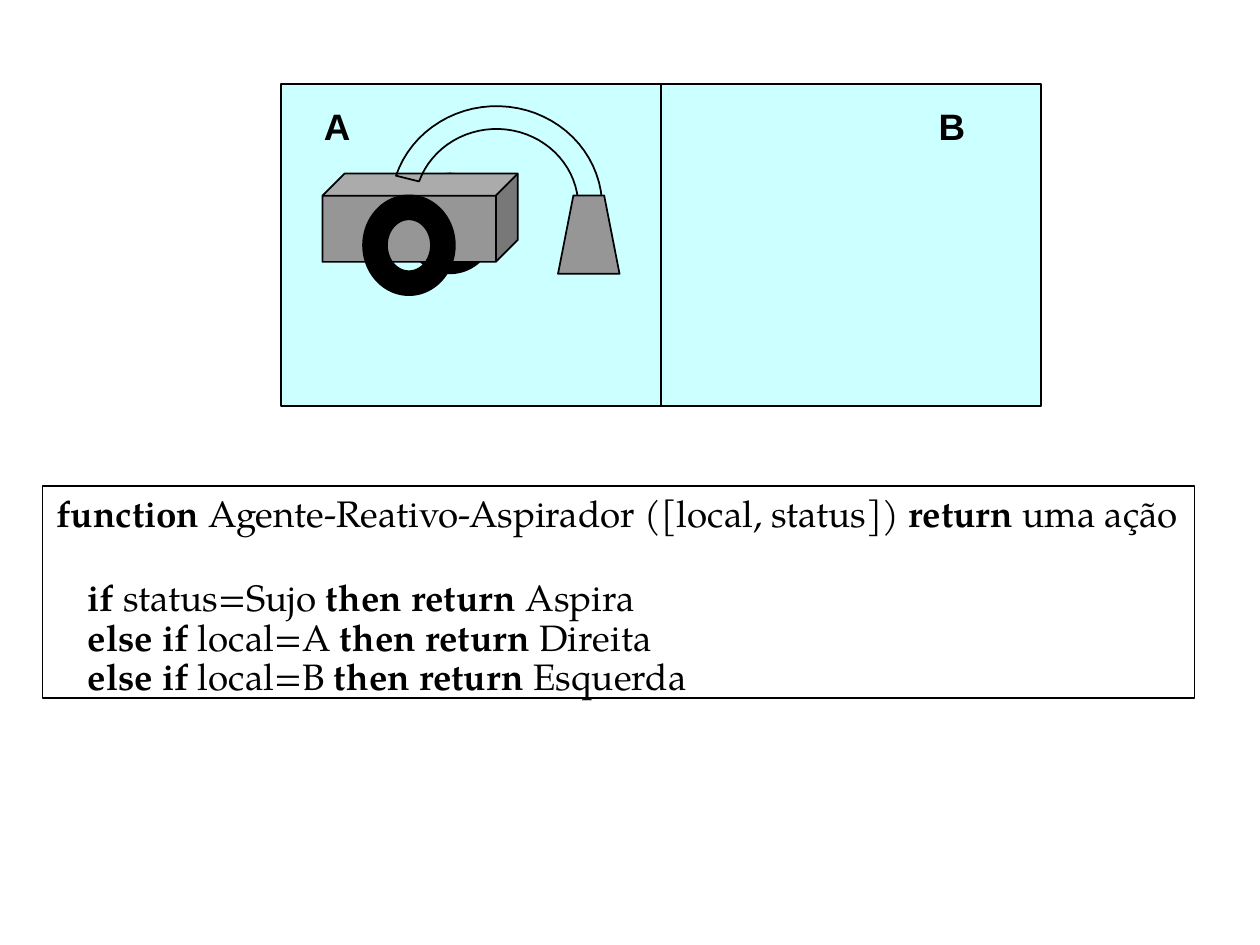
import math
from pptx import Presentation
from pptx.dml.color import RGBColor
from pptx.enum.shapes import MSO_CONNECTOR, MSO_SHAPE
from pptx.enum.text import MSO_ANCHOR, PP_ALIGN
from pptx.oxml.ns import qn
from pptx.util import Cm, Pt
from lxml import etree

RECT, CUBE = MSO_SHAPE.RECTANGLE, MSO_SHAPE.CUBE
DONUT, TRAPEZOID = MSO_SHAPE.DONUT, MSO_SHAPE.TRAPEZOID
STRAIGHT, TOP, LEFT = MSO_CONNECTOR.STRAIGHT, MSO_ANCHOR.TOP, PP_ALIGN.LEFT

COLORS = {"black": "000000", "room": "CCFFFF", "metal": "969696"}
SERIF, SANS, SIZE = "TeX Gyre Pagella", "Arial", 21


class Builder:
    def __init__(self, slide):
        self.s = slide

    def color(self, name):
        return RGBColor.from_string(COLORS[name])

    def style(self, sp, fill=None):
        sp.shadow.inherit = False
        if fill:
            sp.fill.solid()
            sp.fill.fore_color.rgb = self.color(fill)
        else:
            sp.fill.background()
        self.outline(sp)
        return sp

    def outline(self, sp):
        sp.line.color.rgb = self.color("black")
        sp.line.width = Pt(1)

    def shape(self, kind, x, y, w, h, fill=None, adj=None):
        sp = self.s.shapes.add_shape(kind, Cm(x), Cm(y), Cm(w), Cm(h))
        if adj is not None:
            sp.adjustments[0] = adj
        return self.style(sp, fill)

    def divider(self, sp):
        """Vertical line from the top middle to the bottom middle of sp."""
        x = sp.left + sp.width // 2
        c = self.s.shapes.add_connector(STRAIGHT, x, sp.top, x, sp.top + sp.height)
        c.begin_connect(sp, 0)
        c.end_connect(sp, 2)
        self.outline(c)
        etree.SubElement(c._element.spPr, qn("a:effectLst"))

    def outline_shape(self, points):
        pts = [(Cm(x), Cm(y)) for x, y in points]
        fb = self.s.shapes.build_freeform(*pts[0])
        fb.add_line_segments(pts[1:], close=True)
        return self.style(fb.convert_to_shape())

    def frame(self, sp, top, wrap):
        tf = sp.text_frame
        tf.margin_left = tf.margin_right = tf.margin_bottom = 0
        tf.margin_top = Cm(top)
        tf.vertical_anchor = TOP
        tf.word_wrap = wrap
        return tf

    def run(self, p, text, bold, font):
        r = p.add_run()
        r.text = text
        r.font.name, r.font.size, r.font.bold = font, Pt(SIZE), bold
        r.font.color.rgb = self.color("black")

    def label(self, text, x, y):
        sp = self.s.shapes.add_textbox(Cm(x), Cm(y), Cm(0.58), Cm(0.97))
        self.run(self.frame(sp, 0.06, False).paragraphs[0], text, True, SANS)

    def code(self, sp, lines):
        """Each line is (indent, space before, line spacing, runs); runs alternate bold and plain."""
        tf = self.frame(sp, 0.1, True)
        for i, (indent, before, spacing, runs) in enumerate(lines):
            p = tf.paragraphs[0] if i == 0 else tf.add_paragraph()
            p.alignment = LEFT
            p._p.get_or_add_pPr().set("marL", str(Cm(indent)))
            if before:
                p.space_before = Pt(before)
            if spacing:
                p.line_spacing = Pt(spacing)
            for j, text in enumerate(runs):
                self.run(p, text, j % 2 == 0, SERIF)


def arc(rx, ry, start, end, steps=32):
    """Points on an ellipse around the hose centre, angles in degrees."""
    cx, cy = 10.01, 4.17
    angles = [math.radians(start + (end - start) * i / steps) for i in range(steps + 1)]
    return [(cx + rx * math.cos(a), cy - ry * math.sin(a)) for a in angles]


def main():
    prs = Presentation()
    prs.slide_width, prs.slide_height = Cm(25.4), Cm(19.05)
    b = Builder(prs.slides.add_slide(prs.slide_layouts[6]))

    # Two rooms
    room = b.shape(RECT, 5.66, 1.7, 15.32, 6.48, "room")
    b.divider(room)

    # Vacuum cleaner: back wheel, body, front wheel, hose, nozzle
    b.shape(DONUT, 8.15, 3.5, 1.85, 2.01, "black", 0.26)
    b.shape(CUBE, 6.5, 3.5, 3.94, 1.78, "metal", 0.25)
    b.shape(DONUT, 7.32, 3.94, 1.85, 2.01, "black", 0.26)
    b.outline_shape(arc(1.65, 1.57, 161, 5.6) + arc(2.13, 2.03, 4.3, 162))
    b.shape(TRAPEZOID, 11.25, 3.94, 1.24, 1.58, "metal", 0.25)

    # Room names
    for text, x in (("A", 6.53), ("B", 18.92)):
        b.label(text, x, 2.03)

    # Agent program
    box = b.shape(RECT, 0.86, 9.8, 23.22, 4.27)
    b.code(box, [
        (0.28, 0, None, ["function ", "Agente-Reativo-Aspirador ([local, status]) ",
                         "return ", "uma ação"]),
        (0.91, 25.4, 22.6, ["if ", "status=Sujo ", "then return ", "Aspira"]),
        (0.91, 0, 22.6, ["else if ", "local=A ", "then return ", "Direita"]),
        (0.91, 0, 22.6, ["else if ", "local=B ", "then return ", "Esquerda"]),
    ])

    prs.save("out.pptx")


if __name__ == "__main__":
    main()
